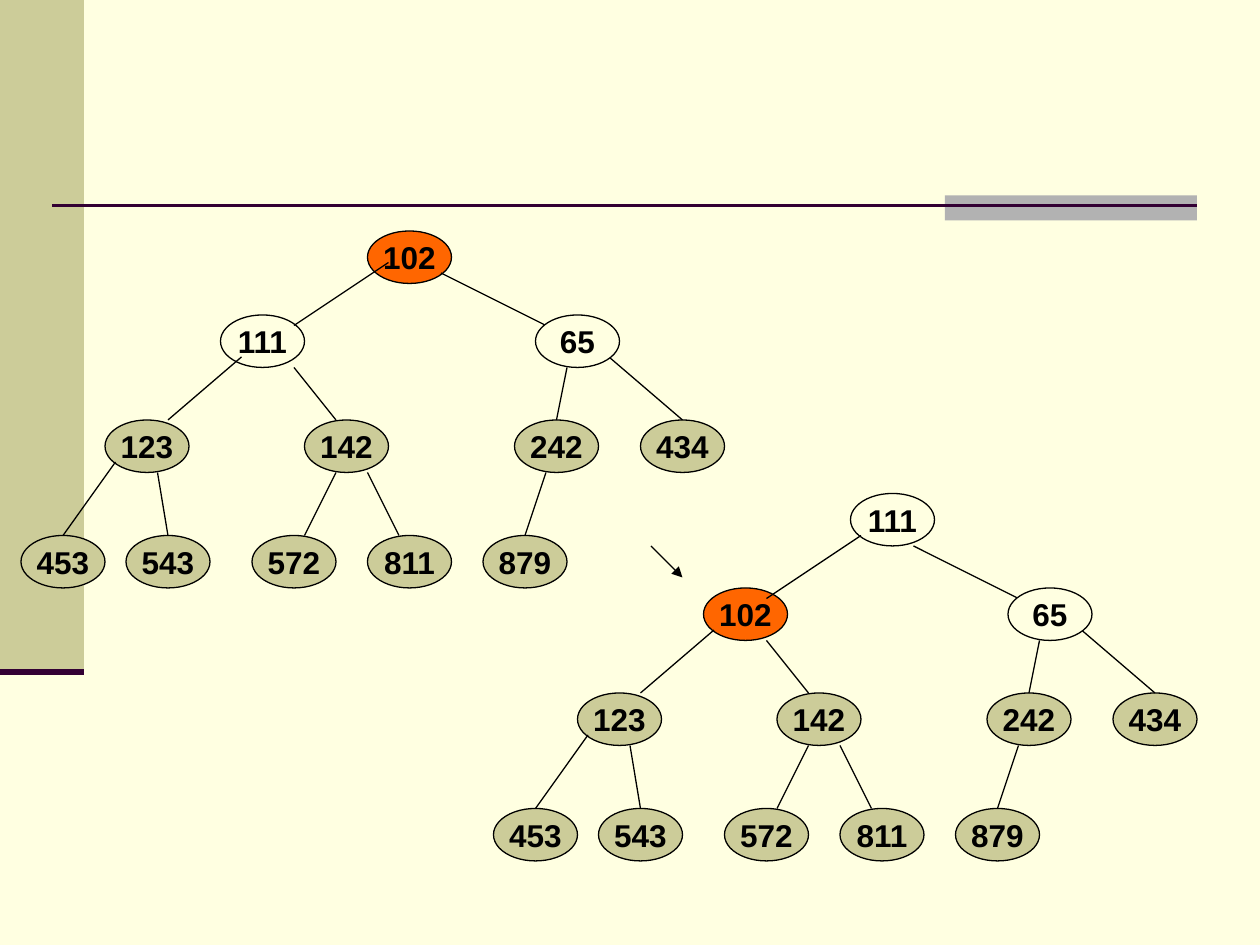
from dataclasses import dataclass

from pptx import Presentation
from pptx.dml.color import RGBColor as RGB
from pptx.enum.shapes import MSO_CONNECTOR as Link, MSO_SHAPE as Form
from pptx.enum.text import MSO_ANCHOR as Anchor, PP_ALIGN as Align
from pptx.oxml.ns import qn
from pptx.util import Pt
from lxml.etree import SubElement as Sub


@dataclass(frozen=True)
class Theme:
    paper: str = "FFFFE1"
    sand: str = "CCCC99"
    gray: str = "B2B2B2"
    plum: str = "330033"
    hot: str = "FF6600"
    ink: str = "000000"
    font: str = "Arial"
    size: float = 18
    thin: float = 0.75
    rule: float = 1.5
    thick: float = 3.5


class Board:
    def __init__(self, slide, theme):
        self.slide = slide
        self.theme = theme
        fill = slide.background.fill
        fill.solid()
        fill.fore_color.rgb = RGB.from_string(theme.paper)

    def shape(self, form, x, y, w, h, color):
        item = self.slide.shapes.add_shape(form, Pt(x), Pt(y), Pt(w), Pt(h))
        item.shadow.inherit = False
        item.fill.solid()
        item.fill.fore_color.rgb = RGB.from_string(color)
        return item

    def block(self, x, y, w, h, color):
        self.shape(Form.RECTANGLE, x, y, w, h, color).line.fill.background()

    def line(self, x1, y1, x2, y2, color=None, width=None, arrow=False):
        item = self.slide.shapes.add_connector(
            Link.STRAIGHT, Pt(x1), Pt(y1), Pt(x2), Pt(y2))
        item.line.color.rgb = RGB.from_string(color or self.theme.ink)
        item.line.width = Pt(width or self.theme.thin)
        if arrow:
            Sub(item.line._get_or_add_ln(), qn("a:tailEnd"), type="triangle")
        Sub(item._element.spPr, qn("a:effectLst"))

    def node(self, text, x, y, color):
        item = self.shape(Form.OVAL, x, y, 48, 30, color)
        item.line.color.rgb = RGB.from_string(self.theme.ink)
        item.line.width = Pt(self.theme.thin)
        frame = item.text_frame
        frame.word_wrap = False
        frame.vertical_anchor = Anchor.MIDDLE
        para = frame.paragraphs[0]
        para.text = text
        para.alignment = Align.CENTER
        font = para.font
        font.name = self.theme.font
        font.size = Pt(self.theme.size)
        font.bold = True
        font.color.rgb = RGB.from_string(self.theme.ink)

    def tree(self, dx, dy, root, left, right):
        for y, row in ROWS.items():
            for text, x in row.items():
                self.node(text, x + dx, y + dy, self.theme.sand)
        self.node(*left)
        self.node(*root)
        for x1, y1, x2, y2 in EDGES:
            self.line(x1 + dx, y1 + dy, x2 + dx, y2 + dy)
        self.node(*right)


ROWS = {
    240: {"123": 60, "142": 174, "242": 294, "434": 366},
    306: {"453": 12, "543": 72, "572": 144, "811": 210, "879": 276},
}
EDGES = [
    (222, 150, 168, 186), (252, 156, 312, 186),
    (138, 204, 96, 240), (168, 210, 192, 240),
    (324, 210, 318, 240), (348, 204, 390, 240),
    (66, 264, 36, 306), (90, 270, 96, 306),
    (192, 270, 174, 306), (210, 270, 228, 306),
    (312, 270, 300, 306),
]


def main():
    deck = Presentation()
    deck.slide_width, deck.slide_height = Pt(720), Pt(540)
    look = Theme()
    board = Board(deck.slides.add_slide(deck.slide_layouts[6]), look)

    board.block(0, 0, 48, 384, look.sand)
    board.block(540, 111.6, 144, 14.4, look.gray)
    board.line(30, 117.5, 684, 117.5, look.plum, look.rule)
    board.line(0, 384, 48, 384, look.plum, look.thick)

    board.tree(0, 0, ("102", 210, 132, look.hot),
               ("111", 126, 180, look.paper), ("65", 306, 180, look.paper))
    board.tree(270, 156, ("111", 486, 282, look.paper),
               ("102", 402, 336, look.hot), ("65", 576, 336, look.paper))
    board.line(372, 312, 390, 330, arrow=True)

    deck.save("out.pptx")


if __name__ == "__main__":
    main()
